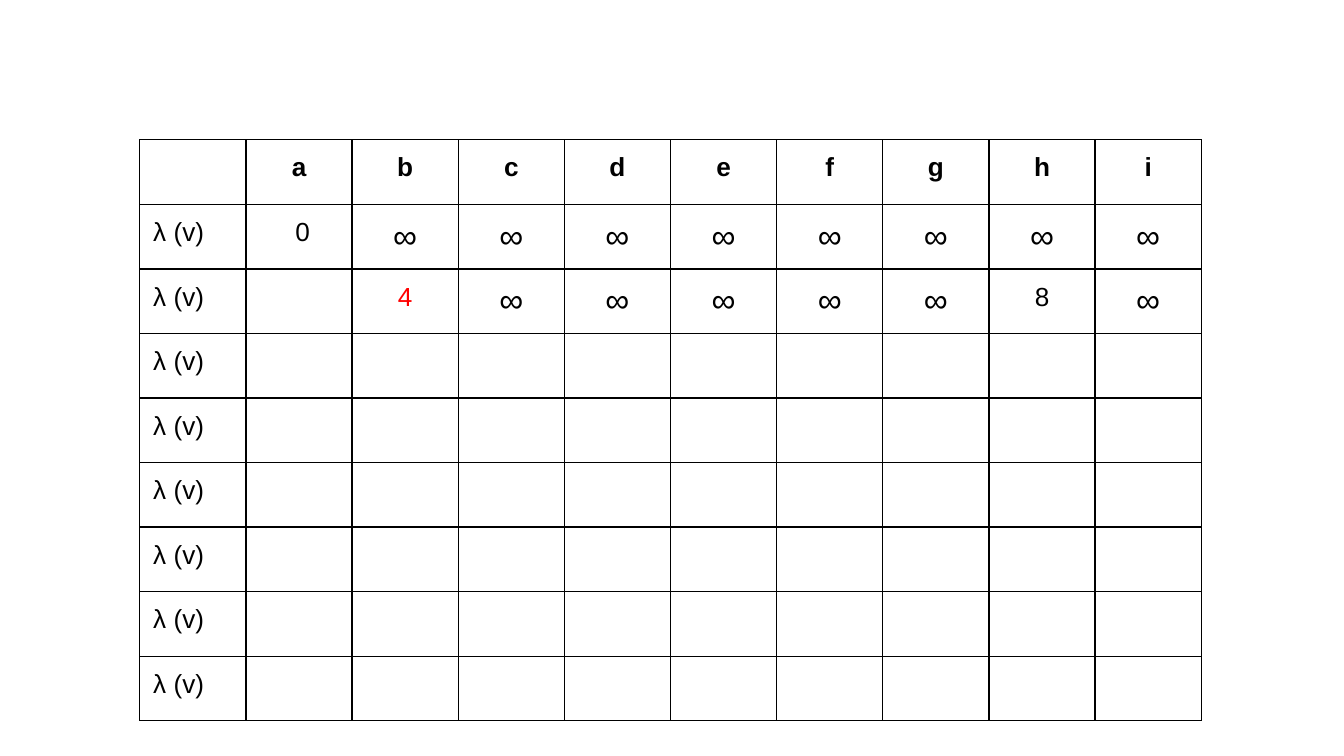
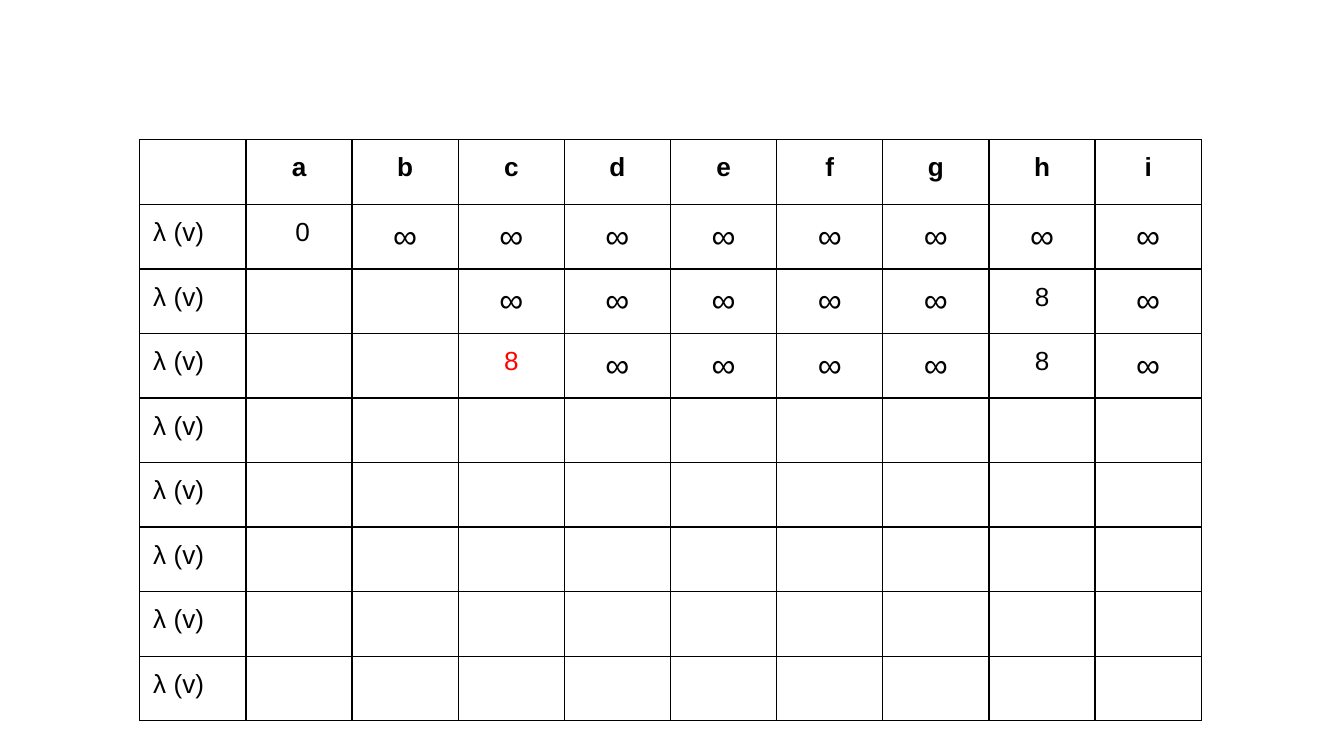
from dataclasses import dataclass

from lxml import etree
from pptx import Presentation
from pptx.dml.color import RGBColor
from pptx.enum.text import PP_ALIGN
from pptx.oxml.ns import qn
from pptx.util import Inches, Pt

LEFT = PP_ALIGN.LEFT
CENTER = PP_ALIGN.CENTER
BLANK_LAYOUT = 6

# Table content
INFINITY = "∞"
ROW_LABEL = "λ (v)"
VERTICES = list("abcdefghi")
STEP_COUNT = 8
START_STEP = [" 0"] + [INFINITY] * 8


@dataclass(frozen=True)
class Theme:
    font: str = "Arial"
    text: str = "000000"
    chosen: str = "FF0000"
    background: str = "FFFFFF"
    border: str = "000000"
    border_width: float = 0.75
    text_size: int = 14
    large_size: int = 18


class Deck:
    """Holds the theme and the slide being built."""

    def __init__(self, theme):
        self.theme = theme
        self.presentation = Presentation()
        self.presentation.slide_width = Inches(10)
        self.presentation.slide_height = Inches(10) * 9 // 16
        self.slide = None

    def add_slide(self):
        layout = self.presentation.slide_layouts[BLANK_LAYOUT]
        self.slide = self.presentation.slides.add_slide(layout)
        fill = self.slide.background.fill
        fill.solid()
        fill.fore_color.rgb = RGBColor.from_string(self.theme.background)

    def add_run(self, paragraph, text, size, color, bold=False):
        run = paragraph.add_run()
        run.text = text
        run.font.name = self.theme.font
        run.font.size = Pt(size)
        run.font.bold = bold
        run.font.color.rgb = RGBColor.from_string(color)

    def size_empty_paragraph(self, paragraph):
        """Give an empty cell the theme font, which sets its row height."""
        end = etree.SubElement(paragraph._p, qn("a:endParaRPr"))
        end.set("sz", str(self.theme.large_size * 100))
        etree.SubElement(end, qn("a:latin")).set("typeface", self.theme.font)

    def add_borders(self, cell):
        properties = cell._tc.get_or_add_tcPr()
        for side in ("a:lnL", "a:lnR", "a:lnT", "a:lnB"):
            line = etree.SubElement(properties, qn(side))
            line.set("w", str(Pt(self.theme.border_width)))
            fill = etree.SubElement(line, qn("a:solidFill"))
            etree.SubElement(fill, qn("a:srgbClr")).set("val", self.theme.border)

    def format_cell(self, cell, text, align, color, bold):
        cell.margin_left = cell.margin_right = Inches(0.1)
        cell.margin_top = cell.margin_bottom = Inches(0.1)
        self.add_borders(cell)
        cell.fill.background()
        paragraph = cell.text_frame.paragraphs[0]
        if not text:
            self.size_empty_paragraph(paragraph)
            return
        paragraph.alignment = align
        size = self.theme.large_size if text == INFINITY else self.theme.text_size
        self.add_run(paragraph, text, size, color, bold)

    def add_distance_table(self, steps, chosen):
        """Draw the label table; chosen is the (row, column) shown in red."""
        blank_steps = [[""] * len(VERTICES)] * (STEP_COUNT - len(steps))
        rows = [[""] + VERTICES]
        rows += [[ROW_LABEL] + step for step in steps + blank_steps]

        column_width, row_height = 0.79, 0.42
        table = self.slide.shapes.add_table(
            len(rows), len(rows[0]), Inches(1.04), Inches(1.04),
            Inches(column_width * len(rows[0])), Inches(row_height * len(rows)),
        ).table
        table.first_row = False
        table.horz_banding = False

        for row_index, row in enumerate(rows):
            for column_index, text in enumerate(row):
                is_chosen = (row_index, column_index) == chosen
                self.format_cell(
                    table.cell(row_index, column_index),
                    text,
                    align=LEFT if column_index == 0 else CENTER,
                    color=self.theme.chosen if is_chosen else self.theme.text,
                    bold=row_index == 0,
                )


def main():
    deck = Deck(Theme())
    unreached = [INFINITY] * 5

    # Slide 1: vertex b is chosen
    deck.add_slide()
    first_step = ["", "4"] + unreached + ["8", INFINITY]
    deck.add_distance_table([START_STEP, first_step], chosen=(2, 2))

    # Slide 2: vertex c is chosen
    deck.add_slide()
    first_step = ["", ""] + unreached + ["8", INFINITY]
    second_step = ["", "", "8"] + unreached[1:] + ["8", INFINITY]
    deck.add_distance_table([START_STEP, first_step, second_step], chosen=(3, 3))

    deck.presentation.save("out.pptx")


if __name__ == "__main__":
    main()
